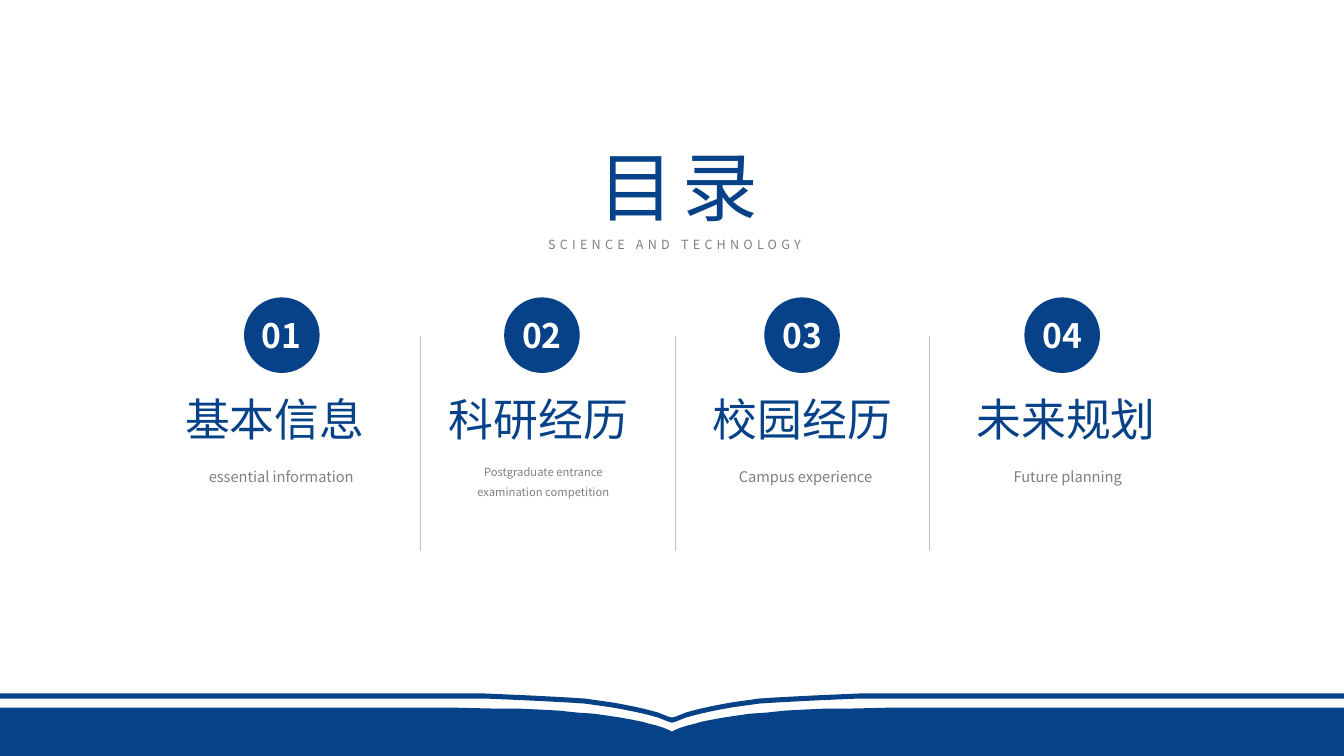
"""Build a table-of-contents slide with four numbered sections above an open-book footer."""
from dataclasses import dataclass

from lxml.etree import SubElement
from pptx import Presentation
from pptx.dml.color import RGBColor
from pptx.enum.shapes import MSO_CONNECTOR, MSO_SHAPE
from pptx.enum.text import MSO_ANCHOR, PP_ALIGN
from pptx.oxml.ns import qn
from pptx.shapes.autoshape import Shape
from pptx.slide import Slide
from pptx.util import Inches, Pt

FONT = "Noto Sans CJK SC"
BLUE, GRAY, RULE, WHITE = "074288", "808080", "BFBFBF", "FFFFFF"
PAGE_WIDTH, PAGE_HEIGHT = 13.33, 7.5
Points = list[tuple[float, float]]


@dataclass(frozen=True)
class Section:
    heading: str
    caption: str
    caption_size: float = 10.5


SECTIONS = [
    Section("基本信息", "essential information"),
    Section("科研经历", "Postgraduate entrance examination competition", 8),
    Section("校园经历", "Campus experience"),
    Section("未来规划", "Future planning"),
]
STRIPE_EDGE: Points = [
    (0, 6.88), (4.6, 6.88), (4.81, 6.88), (5.04, 6.89), (5.26, 6.9), (5.46, 6.91),
    (5.64, 6.92), (5.8, 6.93), (5.94, 6.95), (6.08, 6.97), (6.19, 6.99), (6.29, 7.01),
    (6.38, 7.03), (6.46, 7.05), (6.53, 7.07), (6.58, 7.09), (6.63, 7.11), (6.67, 7.12),
]
COVER_EDGE: Points = [
    (0, 7.02), (4.49, 7.02), (4.92, 7.03), (5.15, 7.03), (5.36, 7.04), (5.55, 7.05),
    (5.73, 7.07), (5.89, 7.08), (6.03, 7.1), (6.16, 7.12), (6.27, 7.14), (6.37, 7.16),
    (6.44, 7.18), (6.52, 7.2), (6.58, 7.22), (6.63, 7.24), (6.67, 7.26),
]


def color(code: str) -> RGBColor:
    """Turn a hex string into a colour."""
    return RGBColor.from_string(code)


def fill_plain(shape: Shape, code: str) -> None:
    """Give a shape a solid fill without outline or shadow."""
    shape.shadow.inherit = False
    shape.fill.solid()
    shape.fill.fore_color.rgb = color(code)
    shape.line.fill.background()


def write(box: Shape, text: str, *, size: float, code: str, bold: bool = False,
          tracking: float = 0, line_spacing: float = 1, inset: bool = True,
          anchor: MSO_ANCHOR = MSO_ANCHOR.TOP) -> None:
    """Write one centred paragraph into a shape."""
    frame = box.text_frame
    frame.word_wrap = True
    frame.vertical_anchor = anchor
    if not inset:
        frame.margin_left = frame.margin_right = frame.margin_top = frame.margin_bottom = 0
    para = frame.paragraphs[0]
    para.alignment = PP_ALIGN.CENTER
    para.line_spacing = line_spacing
    span = para.add_run()
    span.text = text
    span.font.name = FONT
    span.font.size = Pt(size)
    span.font.bold = bold
    span.font.color.rgb = color(code)
    properties = span.font._element
    SubElement(properties, qn("a:ea")).set("typeface", FONT)
    if tracking:
        properties.set("spc", str(int(tracking * 100)))


def add_text(page: Slide, left: float, top: float, width: float, height: float) -> Shape:
    """Add an empty text box."""
    return page.shapes.add_textbox(Inches(left), Inches(top), Inches(width), Inches(height))


def mirror(half: Points) -> Points:
    """Extend a left-half edge across the whole page."""
    return half + [(PAGE_WIDTH - x, y) for x, y in reversed(half)]


def add_outline(page: Slide, points: Points) -> None:
    """Draw a closed blue outline."""
    corners = [(Inches(x), Inches(y)) for x, y in points]
    builder = page.shapes.build_freeform(*corners[0])
    builder.add_line_segments(corners[1:], close=True)
    fill_plain(builder.convert_to_shape(), BLUE)


def add_book(page: Slide) -> None:
    """Draw the open book along the bottom of the page."""
    stripe = mirror(STRIPE_EDGE)
    add_outline(page, stripe + [(x, y + 0.05) for x, y in reversed(stripe)])
    add_outline(page, mirror(COVER_EDGE) + [(PAGE_WIDTH, PAGE_HEIGHT), (0, PAGE_HEIGHT)])


def add_divider(page: Slide, x: float) -> None:
    """Draw a thin vertical rule between two sections."""
    divider = page.shapes.add_connector(
        MSO_CONNECTOR.STRAIGHT, Inches(x), Inches(3.33), Inches(x), Inches(5.47))
    divider.line.color.rgb = color(RULE)
    divider.line.width = Pt(0.5)
    SubElement(divider._element.spPr, qn("a:effectLst"))


def add_section(page: Slide, index: int, section: Section) -> None:
    """Draw the number, heading and caption of one section."""
    badge = page.shapes.add_shape(
        MSO_SHAPE.OVAL, Inches(2.42 + 2.58 * index), Inches(2.95), Inches(0.75), Inches(0.75))
    fill_plain(badge, BLUE)
    write(badge, f"{index + 1:02}", size=24, code=WHITE, bold=True, inset=False,
          anchor=MSO_ANCHOR.MIDDLE)
    heading = add_text(page, 1.57 + 7.85 * index / 3, 3.84, 2.31, 0.64)
    write(heading, section.heading, size=32, code=BLUE)
    caption = add_text(page, 1.97 + 2.6 * index, 4.55, 1.64, 0.4)
    write(caption, section.caption, size=section.caption_size, code=GRAY,
          line_spacing=1.5, inset=False)


def main() -> None:
    """Build and save the deck."""
    deck = Presentation()
    deck.slide_width, deck.slide_height = Inches(PAGE_WIDTH), Inches(PAGE_HEIGHT)
    page = deck.slides.add_slide(deck.slide_layouts[6])
    add_book(page)
    write(add_text(page, 5.24, 2.3, 2.9, 0.25), "SCIENCE AND TECHNOLOGY",
          size=9, code=GRAY, tracking=3)
    write(add_text(page, 5.77, 1.34, 1.92, 1.01), "目录", size=54, code=BLUE, tracking=6)
    for index in range(len(SECTIONS) - 1):
        add_divider(page, 4.17 + 5.05 * index / 2)
    for index, section in enumerate(SECTIONS):
        add_section(page, index, section)
    deck.save("out.pptx")


if __name__ == "__main__":
    main()
